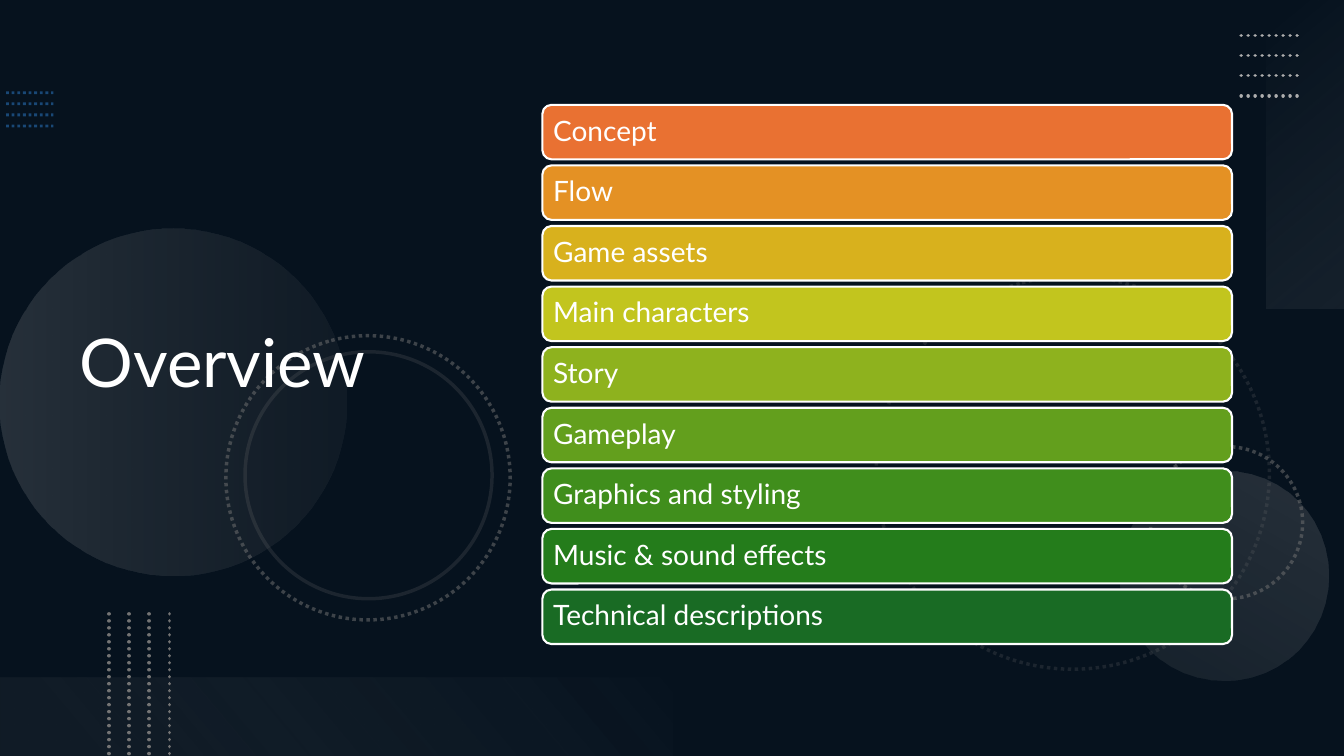
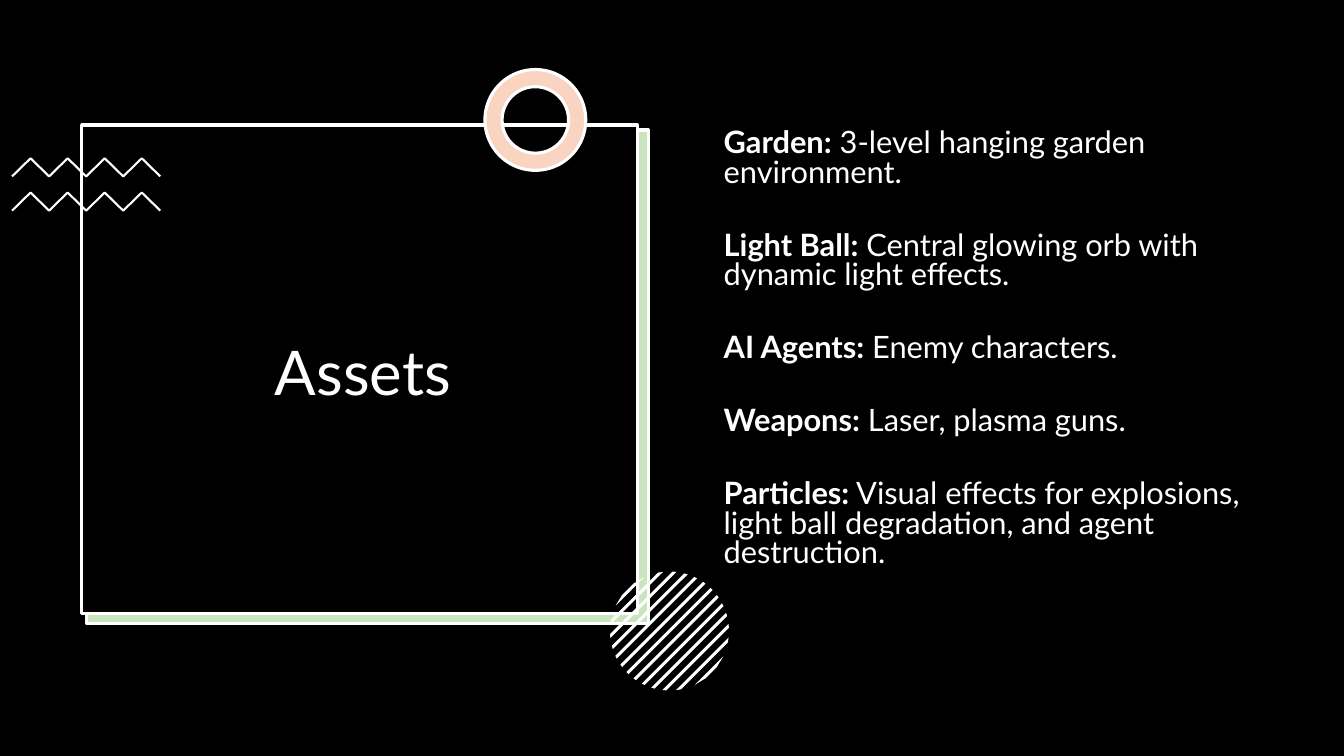
from collections import namedtuple
from math import sqrt

from lxml.etree import SubElement
from pptx import Presentation
from pptx.dml.color import RGBColor
from pptx.enum.dml import MSO_LINE
from pptx.enum.shapes import MSO_CONNECTOR, MSO_SHAPE
from pptx.enum.text import MSO_ANCHOR, MSO_AUTO_SIZE, PP_ALIGN
from pptx.oxml.ns import qn
from pptx.util import Inches, Pt

Box = namedtuple("Box", "left top width height")

SLIDE = Box(0, 0, 13.33, 7.5)
FONT = "Lato"
COLORS = {
    "white": "FFFFFF", "black": "000000", "navy": "0E2841", "blue": "2D7FCF",
    "silver": "AEAEAE", "gray": "747474", "pale": "F6F6F6",
    "green": "4EA72E", "orange": "E97132",
}
TOPICS = [
    ("Concept", "E97132"),
    ("Flow", "E49124"),
    ("Game assets", "D8B11D"),
    ("Main characters", "C2C51E"),
    ("Story", "8EB21E"),
    ("Gameplay", "639F1D"),
    ("Graphics and styling", "408E1C"),
    ("Music & sound effects", "247C1B"),
    ("Technical descriptions", "196B24"),
]
ASSETS = [
    ("Garden:", " 3-level hanging garden environment."),
    ("Light Ball:", " Central glowing orb with dynamic light effects."),
    ("AI Agents:", " Enemy characters."),
    ("Weapons:", " Laser, plasma guns."),
    ("Particles:", " Visual effects for explosions, light ball degradation, "
                   "and agent destruction."),
]


# Shared formatting
def rgb(color):
    return RGBColor.from_string(COLORS.get(color, color))


def set_alpha(parent, percent):
    for color in parent.iter(qn("a:srgbClr")):
        SubElement(color, qn("a:alpha")).set("val", str(percent * 1000))


def paint(fill, color, alpha=100):
    fill.solid()
    fill.fore_color.rgb = rgb(color)
    if alpha < 100:
        set_alpha(fill.fore_color._xFill, alpha)


def stroke(line, color, width, dotted=False, alpha=100):
    paint(line.fill, color, alpha)
    line.width = Pt(width)
    if dotted:
        line.dash_style = MSO_LINE.ROUND_DOT


def add_form(slide, kind, box, fill=None, alpha=100, rotation=0):
    form = slide.shapes.add_shape(kind, *map(Inches, box))
    form.shadow.inherit = False
    form.rotation = rotation
    form.line.fill.background()
    if fill:
        paint(form.fill, fill, alpha)
    else:
        form.fill.background()
    return form


def add_gradient(slide, kind, box, rotation, angle, stops):
    form = add_form(slide, kind, box, rotation=rotation)
    form.fill.gradient()
    form.fill.gradient_angle = 360 - angle
    for stop, (position, color, alpha) in zip(form.fill.gradient_stops, stops):
        stop.position = position
        stop.color.rgb = rgb(color)
        set_alpha(stop._gs, alpha)


def add_outline(slide, points, closed):
    corners = [(Inches(x), Inches(y)) for x, y in points]
    builder = slide.shapes.build_freeform(*corners[0])
    builder.add_line_segments(corners[1:], close=closed)
    outline = builder.convert_to_shape()
    outline.shadow.inherit = False
    return outline


def style_run(run, size, bold=None):
    run.font.name = FONT
    run.font.size = Pt(size)
    run.font.bold = bold
    run.font.color.rgb = rgb("white")


def start_slide(prs, background, veil_alpha):
    slide = prs.slides.add_slide(prs.slide_layouts[5])
    paint(slide.background.fill, background)
    add_form(slide, MSO_SHAPE.RECTANGLE, SLIDE, "black", veil_alpha)
    return slide


def place_title(slide, box, text, size, align):
    title = slide.shapes.title
    title.left, title.top, title.width, title.height = map(Inches, box)
    frame = title.text_frame
    frame.text = text
    frame.auto_size = MSO_AUTO_SIZE.NONE
    frame.vertical_anchor = MSO_ANCHOR.MIDDLE
    paragraph = frame.paragraphs[0]
    paragraph.alignment = align
    paragraph.line_spacing = 0.9
    style_run(paragraph.runs[0], size)
    # Bring the title in front of the decoration
    slide.shapes._spTree.append(title._element)


# Overview decoration
def add_dot_rows(slide, box, color, width, alpha=100, vertical=False, round_dots=True):
    """Four evenly spaced dotted lines that fill the box."""
    for i in range(4):
        if vertical:
            x = box.left + i * box.width / 3
            ends = (x, box.top, x, box.top + box.height)
        else:
            y = box.top + i * box.height / 3
            ends = (box.left, y, box.left + box.width, y)
        row = slide.shapes.add_connector(MSO_CONNECTOR.STRAIGHT, *map(Inches, ends))
        stroke(row.line, color, width, True, alpha)
        if round_dots:
            row.line._get_or_add_ln().set("cap", "rnd")
        SubElement(row._element.spPr, qn("a:effectLst"))


def add_circles(slide):
    rings = [
        (8.69, 2.74, 3.9, 75, True, 20),
        (11.41, 4.43, 1.51, 270, True, 50),
        (2.24, 3.33, 2.82, 75, True, 50),
        (2.43, 3.49, 2.45, 75, False, 20),
    ]
    discs = [
        (0, 2.27, 3.44, 270, [(0, "silver", 20), (1, "gray", 10)]),
        (11.1, 4.67, 2.08, 210, [(0, "silver", 10), (1, "silver", 20)]),
    ]
    for left, top, size, rotation, stops in discs:
        add_gradient(slide, MSO_SHAPE.OVAL, Box(left, top, size, size),
                     rotation, 90, stops)
    for left, top, size, rotation, dotted, alpha in rings:
        ring = add_form(slide, MSO_SHAPE.OVAL, Box(left, top, size, size),
                        rotation=rotation)
        stroke(ring.line, "gray", 2.5, dotted, alpha)


def add_topic_bars(slide, box, gap=0.06):
    pitch = (box.height + gap) / len(TOPICS)
    for i, (topic, color) in enumerate(TOPICS):
        bar = add_form(slide, MSO_SHAPE.ROUNDED_RECTANGLE,
                       Box(box.left, box.top + i * pitch, box.width, pitch - gap), color)
        stroke(bar.line, "white", 1.5)
        frame = bar.text_frame
        frame.text = topic
        frame.margin_left = frame.margin_right = Inches(0.08)
        frame.margin_top = frame.margin_bottom = Inches(0.08)
        frame.vertical_anchor = MSO_ANCHOR.MIDDLE
        paragraph = frame.paragraphs[0]
        paragraph.alignment = PP_ALIGN.LEFT
        paragraph.line_spacing = 0.9
        style_run(paragraph.runs[0], 20)


def build_overview(prs):
    slide = start_slide(prs, "navy", 53)
    add_dot_rows(slide, Box(0.06, 0.92, 0.47, 0.33), "blue", 2, 50, round_dots=False)
    add_circles(slide)
    # Fading bands on the right and bottom edges
    add_gradient(slide, MSO_SHAPE.RECTANGLE, Box(11.42, 1.14, 3.06, 0.78), 270, 140,
                 [(0, "pale", 0), (1, "silver", 10)])
    add_dot_rows(slide, Box(12.31, 0.35, 0.6, 0.6), "silver", 2.5)
    add_gradient(slide, MSO_SHAPE.RECTANGLE, Box(0, 6.72, 6.67, 0.78), 180, 140,
                 [(0.1, "gray", 10), (1, "pale", 0)])
    add_dot_rows(slide, Box(1.08, 6.09, 0.6, 1.41), "gray", 2.5, vertical=True)
    place_title(slide, Box(0.69, 0.54, 4.59, 6.17), "Overview", 48, PP_ALIGN.LEFT)
    add_topic_bars(slide, Box(5.38, 1.04, 6.84, 5.35))


# Assets decoration
def add_title_card(slide, box):
    add_form(slide, MSO_SHAPE.RECTANGLE,
             Box(box.left + 0.04, box.top + 0.06, 5.57, 4.9), "white")
    backing = add_form(slide, MSO_SHAPE.RECTANGLE,
                       Box(box.left + 0.05, box.top + 0.05, 5.57, 4.9), "green", 30)
    card = add_form(slide, MSO_SHAPE.RECTANGLE, box, "black")
    for panel in (backing, card):
        stroke(panel.line, "white", 2.25)


def add_zigzags(slide, box, steps=8, wave=0.18):
    for top in (box.top, box.top + box.height - wave):
        points = [(box.left + i * box.width / steps, top + (0 if i % 2 else wave))
                  for i in range(steps + 1)]
        zigzag = add_outline(slide, points, closed=False)
        zigzag.fill.background()
        stroke(zigzag.line, "white", 1.5)


def add_donut(slide, box):
    for color, alpha in (("white", 100), ("orange", 30)):
        donut = add_form(slide, MSO_SHAPE.DONUT, box, color, alpha)
        donut.adjustments[0] = 0.17
    stroke(donut.line, "white", 2.25)


def add_striped_disc(slide, box, stripes=13, pitch=0.095, thickness=0.03):
    """Diagonal stripes, each cut off where it meets the circle."""
    radius = box.width / 2
    center_x, center_y = box.left + radius, box.top + radius

    def chord(offset):
        half = sqrt(radius ** 2 - offset ** 2)
        return [(center_x + (offset + side * half) / sqrt(2),
                 center_y + (offset - side * half) / sqrt(2)) for side in (1, -1)]

    for i in range(stripes):
        middle = (i - stripes // 2) * pitch
        near = chord(middle - thickness / 2)
        far = chord(middle + thickness / 2)
        stripe = add_outline(slide, near + far[::-1], closed=True)
        paint(stripe.fill, "white")
        stripe.line.fill.background()


def add_asset_list(slide, box):
    frame = slide.shapes.add_textbox(*map(Inches, box)).text_frame
    frame.word_wrap = True
    for i, (term, description) in enumerate(ASSETS):
        paragraph = frame.add_paragraph() if i else frame.paragraphs[0]
        paragraph.line_spacing = 0.8
        paragraph.space_before = Pt(31 if i else 0)
        for text, bold in ((term, True), (description, False)):
            run = paragraph.add_run()
            run.text = text
            style_run(run, 22, bold)


def build_assets(prs):
    slide = start_slide(prs, "white", 100)
    add_title_card(slide, Box(0.81, 1.24, 5.51, 4.85))
    add_zigzags(slide, Box(0.12, 1.57, 1.47, 0.52))
    add_donut(slide, Box(4.81, 0.69, 1, 1))
    add_striped_disc(slide, Box(6.05, 5.67, 1.18, 1.18))
    place_title(slide, Box(0.92, 1.52, 5.36, 4.42), "Assets", 44, PP_ALIGN.CENTER)
    add_asset_list(slide, Box(7.08, 1.24, 5.44, 4.76))


def main():
    prs = Presentation()
    prs.slide_width = Inches(SLIDE.width)
    prs.slide_height = Inches(SLIDE.height)
    build_overview(prs)
    build_assets(prs)
    prs.save("out.pptx")


if __name__ == "__main__":
    main()
